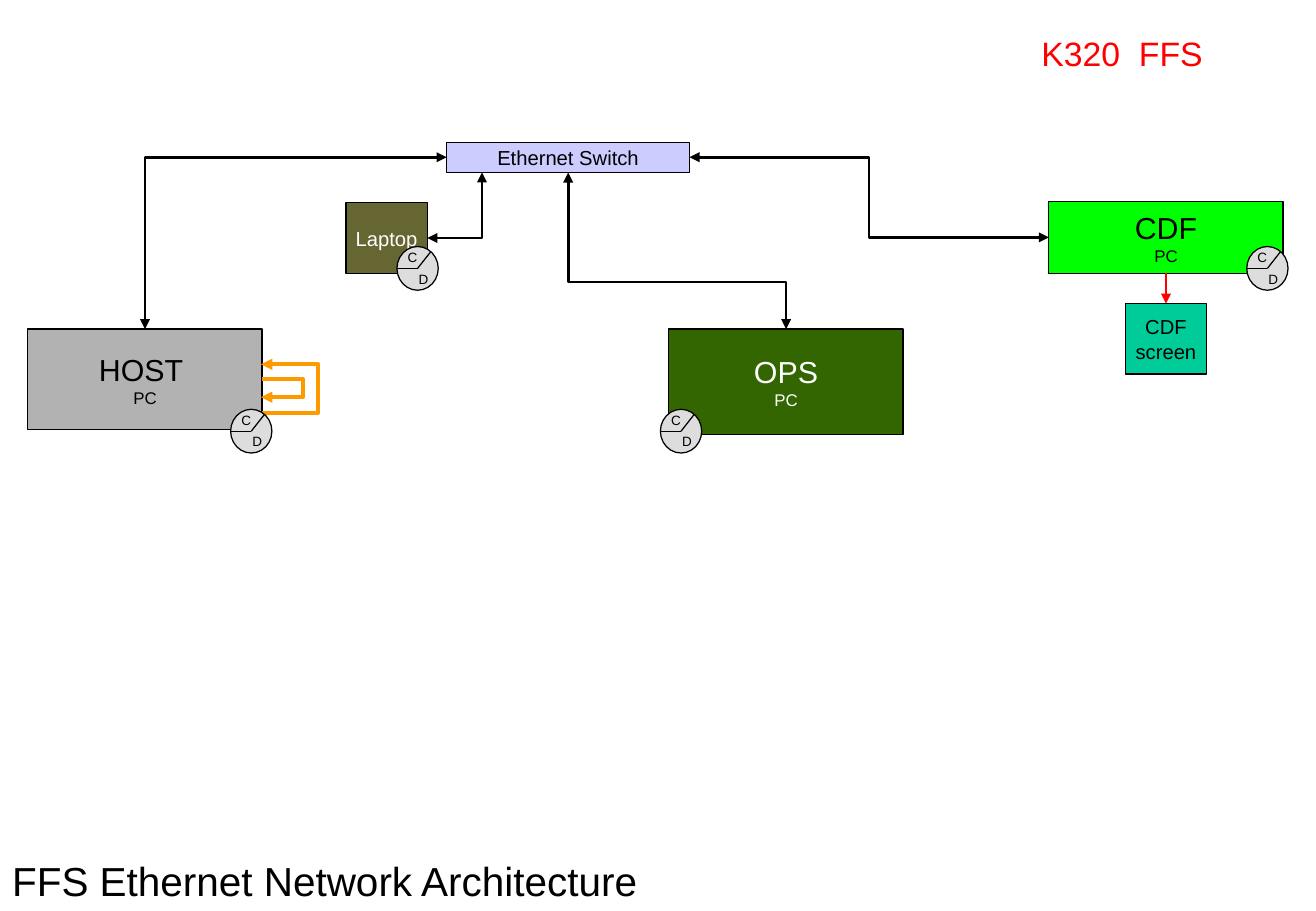
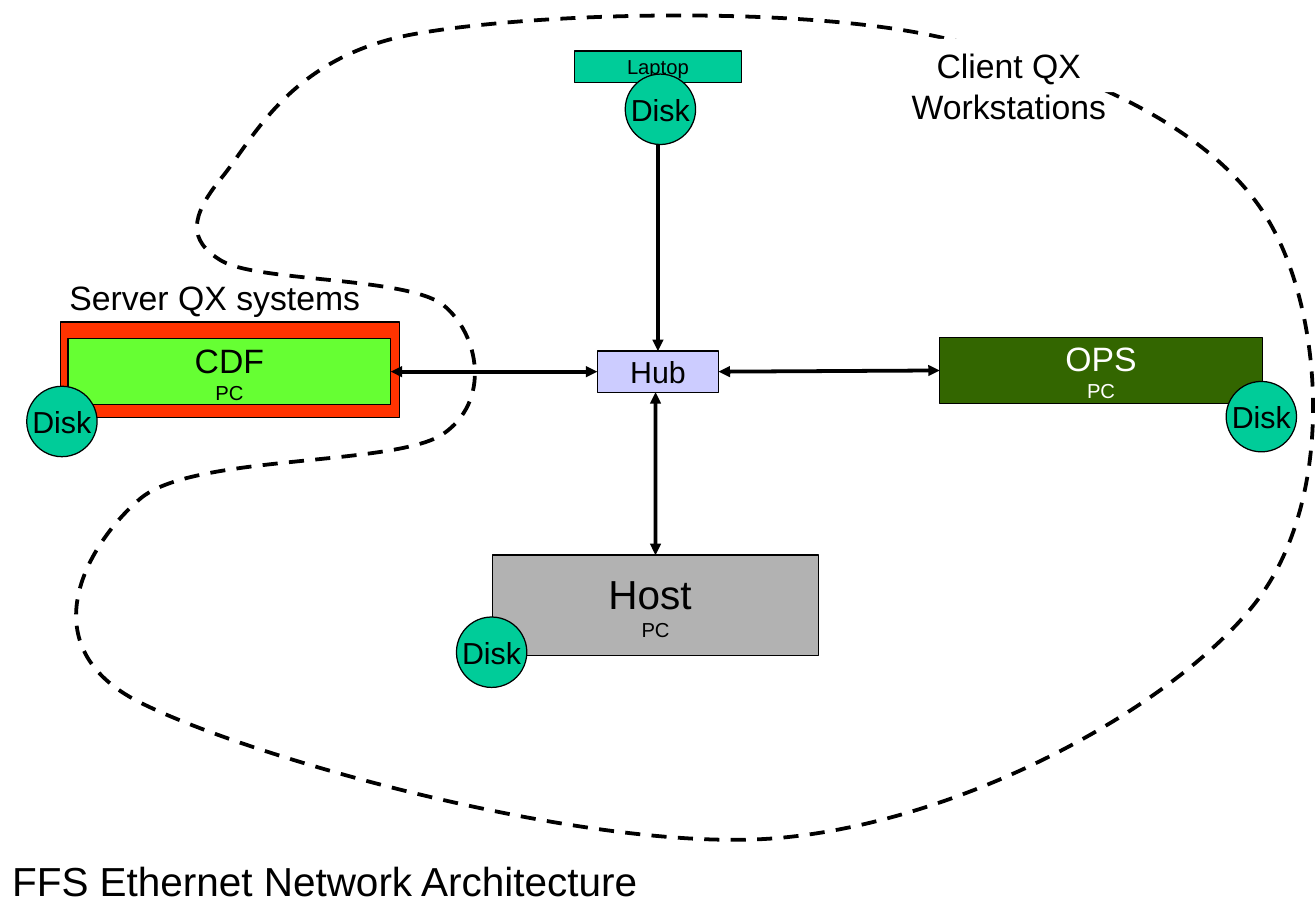
from dataclasses import dataclass
from lxml.etree import SubElement
from pptx import Presentation
from pptx.dml.color import RGBColor
from pptx.enum.dml import MSO_LINE
from pptx.enum.shapes import MSO_CONNECTOR as CONN, MSO_SHAPE as SHAPE
from pptx.enum.text import MSO_ANCHOR as ANCHOR, MSO_AUTO_SIZE as AUTO, PP_ALIGN as ALIGN
from pptx.oxml.ns import qn
from pptx.util import Inches, Pt


@dataclass(frozen=True)
class Theme:
    font: str = "Arial"
    black: str = "000000"
    white: str = "FFFFFF"
    red: str = "FF0000"
    frame: str = "FF3300"
    orange: str = "FF9900"
    lilac: str = "CCCCFF"
    teal: str = "00CC99"
    green: str = "00FF00"
    lime: str = "66FF33"
    forest: str = "336600"
    olive: str = "666633"
    grey: str = "B2B2B2"
    badge: str = "DDDDDD"
    title: int = 24
    label: int = 20
    name: int = 18
    small: int = 12
    note: int = 10
    tiny: int = 8
    thin: float = 0.75
    medium: float = 1.5
    thick: float = 2.25


T = Theme()


def write(s, *lines, color=T.black, align=ALIGN.CENTER, anchor=ANCHOR.MIDDLE, wrap=False, grow=False):
    tf = s.text_frame
    tf.word_wrap = wrap
    tf.auto_size = AUTO.SHAPE_TO_FIT_TEXT if grow else AUTO.NONE
    tf.vertical_anchor = anchor
    for i, (text, size) in enumerate(lines):
        p = tf.add_paragraph() if i else tf.paragraphs[0]
        p.alignment = align
        r = p.add_run()
        r.text = text
        r.font.name = T.font
        r.font.size = Pt(size)
        r.font.color.rgb = RGBColor.from_string(color)


def connect(slide, start, end, preset="line", color=T.black, width=T.thin, heads=(), adjust=None, upright=False):
    kind = CONN.STRAIGHT if preset == "line" else CONN.ELBOW
    c = slide.shapes.add_connector(kind, 0, 0, 0, 0)
    if isinstance(start[0], (int, float)):
        c.begin_x, c.begin_y = map(Inches, start)
    else:
        c.begin_connect(*start)
    if isinstance(end[0], (int, float)):
        c.end_x, c.end_y = map(Inches, end)
    else:
        c.end_connect(*end)
    spPr = c.element.spPr
    if upright:
        w, h = c.width, c.height
        c.left, c.top = c.left + (w - h) // 2, c.top + (h - w) // 2
        c.width, c.height = h, w
        xfrm = spPr.find(qn("a:xfrm"))
        xfrm.set("rot", "16200000")
        xfrm.set("flipH", "1")
    geom = spPr.find(qn("a:prstGeom"))
    geom.set("prst", preset)
    if adjust is not None:
        SubElement(geom.find(qn("a:avLst")), qn("a:gd"), name="adj1", fmla=f"val {round(adjust * 100000)}")
    c.line.color.rgb = RGBColor.from_string(color)
    c.line.width = Pt(width)
    for tag in heads:
        SubElement(spPr.find(qn("a:ln")), qn(f"a:{tag}"), type="triangle")
    SubElement(spPr, qn("a:effectLst"))


HEAD, TAIL = ("headEnd",), ("tailEnd",)
BOTH = HEAD + TAIL

prs = Presentation()
prs.slide_width, prs.slide_height = Inches(10.84), Inches(7.5)
network, stations = (prs.slides.add_slide(prs.slide_layouts[5]) for _ in range(2))

for slide in (network, stations):
    s = slide.shapes.title
    s.left, s.top, s.width, s.height = map(Inches, (0, 7, 10.83, 0.5))
    write(s, ("FFS Ethernet Network Architecture", T.title), align=ALIGN.LEFT, wrap=True)

switch, laptop, host, ops, cdf, screen = range(6)
hub, laptop2, host2, ops2, frame, cdf2 = range(6, 12)
disks = [(0.22, 3.18), (3.76, 5.08), (10.1, 3.14), (5.15, 0.61)]
badges = [(5.44, 3.37), (10.27, 2.03), (3.27, 2.03), (1.9, 3.37)]
rows = [
    (network, (3.68, 1.17, 2, 0.25), T.lilac, T.black, [("Ethernet Switch", T.small)]),
    (network, (2.85, 1.67, 0.67, 0.58), T.olive, T.white, [("Laptop", T.small)]),
    (network, (0.23, 2.71, 1.93, 0.83), T.grey, T.black, [("HOST ", T.name), ("PC", T.note)]),
    (network, (5.51, 2.71, 1.93, 0.87), T.forest, T.white, [("OPS", T.name), ("PC", T.note)]),
    (network, (8.64, 1.66, 1.93, 0.59), T.green, T.black, [("CDF", T.name), ("PC", T.note)]),
    (network, (9.27, 2.5, 0.67, 0.58), T.teal, T.black, [("CDF", T.small), ("screen", T.small)]),
    (stations, (4.92, 2.89, 1, 0.34), T.lilac, T.black, [("Hub", T.name)]),
    (stations, (4.73, 0.42, 1.38, 0.26), T.teal, T.black, [("Laptop", T.small)]),
    (stations, (4.06, 4.57, 2.68, 0.83), T.grey, T.black, [("Host ", T.title), ("PC", T.small)]),
    (stations, (7.74, 2.78, 2.66, 0.54), T.forest, T.white, [("OPS", T.label), ("PC", T.small)]),
    (stations, (0.5, 2.65, 2.79, 0.79), T.frame, T.black, []),
    (stations, (0.56, 2.79, 2.66, 0.54), T.lime, T.black, [("CDF", T.label), ("PC", T.small)]),
]
rounds = [(stations, (x, y, 0.58, 0.58), T.teal, T.black, [("Disk", T.name)]) for x, y in disks]
rounds += [(network, (x, y, 0.34, 0.36), T.badge, T.black, []) for x, y in badges]

boxes = []
for kind, items in ((SHAPE.RECTANGLE, rows), (SHAPE.OVAL, rounds)):
    if kind == SHAPE.OVAL:
        wide = dict(width=T.medium, heads=BOTH)
        connect(network, (boxes[switch], 3), (boxes[cdf], 1), "bentConnector3", adjust=0.5, **wide)
        connect(network, (boxes[switch], 1), (boxes[host], 0), "bentConnector2", **wide)
        connect(network, (boxes[switch], 2), (boxes[ops], 0), "bentConnector3", adjust=0.7, upright=True, **wide)
        connect(network, (boxes[laptop], 3), (3.97, 1.42), "bentConnector2", **wide)
        connect(network, (boxes[cdf], 2), (boxes[screen], 0), color=T.red, heads=TAIL)
        for top, bottom, reach in ((3, 3.4, 48), (3.27, 3.12, 35)):
            connect(network, (2.15, top), (2.16, bottom), "bentConnector3", T.orange, T.thick, HEAD, reach)
        wide["width"] = T.thick
        connect(stations, (boxes[hub], 3), (boxes[ops2], 1), **wide)
        connect(stations, (boxes[hub], 1), (boxes[cdf2], 3), **wide)
        connect(stations, (boxes[hub], 0), (boxes[laptop2], 2), **wide)
        connect(stations, (5.4, 3.23), (boxes[host2], 0), **wide)
    for slide, place, fill, color, lines in items:
        s = slide.shapes.add_shape(kind, *map(Inches, place))
        s.shadow.inherit = False
        s.fill.solid()
        s.fill.fore_color.rgb = RGBColor.from_string(fill)
        s.line.color.rgb = RGBColor.from_string(T.black)
        s.line.width = Pt(T.thin)
        write(s, *lines, color=color)
        boxes.append(s)

for x, y in badges:
    connect(network, (x, y + 0.18), (x + 0.17, y + 0.18))
    connect(network, (x + 0.17, y + 0.18), (x + 0.28, y + 0.04))

curve = [
    (1.82, 1.47),
    (2.08, 1.16), (2.37, 0.49), (3.36, 0.29),
    (4.35, 0.1), (6.58, 0.04), (7.76, 0.31),
    (8.95, 0.57), (10.06, 1.09), (10.48, 1.87),
    (10.91, 2.65), (11, 4.15), (10.32, 4.99),
    (9.64, 5.83), (7.93, 6.77), (6.4, 6.9),
    (4.86, 7.03), (1.98, 6.22), (1.11, 5.76),
    (0.24, 5.29), (0.73, 4.47), (1.15, 4.11),
    (1.57, 3.74), (3.22, 3.84), (3.64, 3.58),
    (4.05, 3.31), (3.95, 2.75), (3.65, 2.51),
    (3.35, 2.28), (2.13, 2.32), (1.83, 2.15),
    (1.54, 1.98), (1.57, 1.78), (1.82, 1.47),
]
points = [(Inches(x), Inches(y)) for x, y in curve]
builder = stations.shapes.build_freeform(*points[0])
builder.add_line_segments(points[1:], close=True)
s = builder.convert_to_shape()
s.shadow.inherit = False
s.fill.background()
s.line.color.rgb = RGBColor.from_string(T.black)
s.line.width = Pt(T.thick)
s.line.dash_style = MSO_LINE.DASH
segments = list(s.element.iter(qn("a:lnTo")))
for i in range(0, len(curve) - 1, 3):
    outline = segments[i].getparent()
    bezier = SubElement(outline, qn("a:cubicBezTo"))
    segments[i].addprevious(bezier)
    for segment in segments[i:i + 3]:
        bezier.append(segment[0])
        outline.remove(segment)

labels = [
    (network, (8.48, 0.22, 1.53, 0.44), "K320  FFS", T.label, T.red, ALIGN.LEFT),
    (stations, (0.42, 2.23, 2.7, 0.44), "Server QX systems", T.label, T.black, ALIGN.CENTER),
    (stations, (6.79, 0.32, 3.04, 0.44), "Client QX Workstations", T.label, T.black, ALIGN.CENTER),
]
for x, y in badges:
    labels.append((network, (x - 0.01, y - 0.03, 0.28, 0.24), "C", T.tiny, T.black, ALIGN.LEFT))
    labels.append((network, (x + 0.08, y + 0.15, 0.28, 0.24), "D", T.tiny, T.black, ALIGN.LEFT))
for slide, place, text, size, color, align in labels:
    s = slide.shapes.add_textbox(*map(Inches, place))
    if text.startswith("Client"):
        s.fill.solid()
        s.fill.fore_color.rgb = RGBColor.from_string(T.white)
    write(s, (text, size), color=color, align=align, anchor=ANCHOR.TOP, grow=True)

prs.save("out.pptx")
